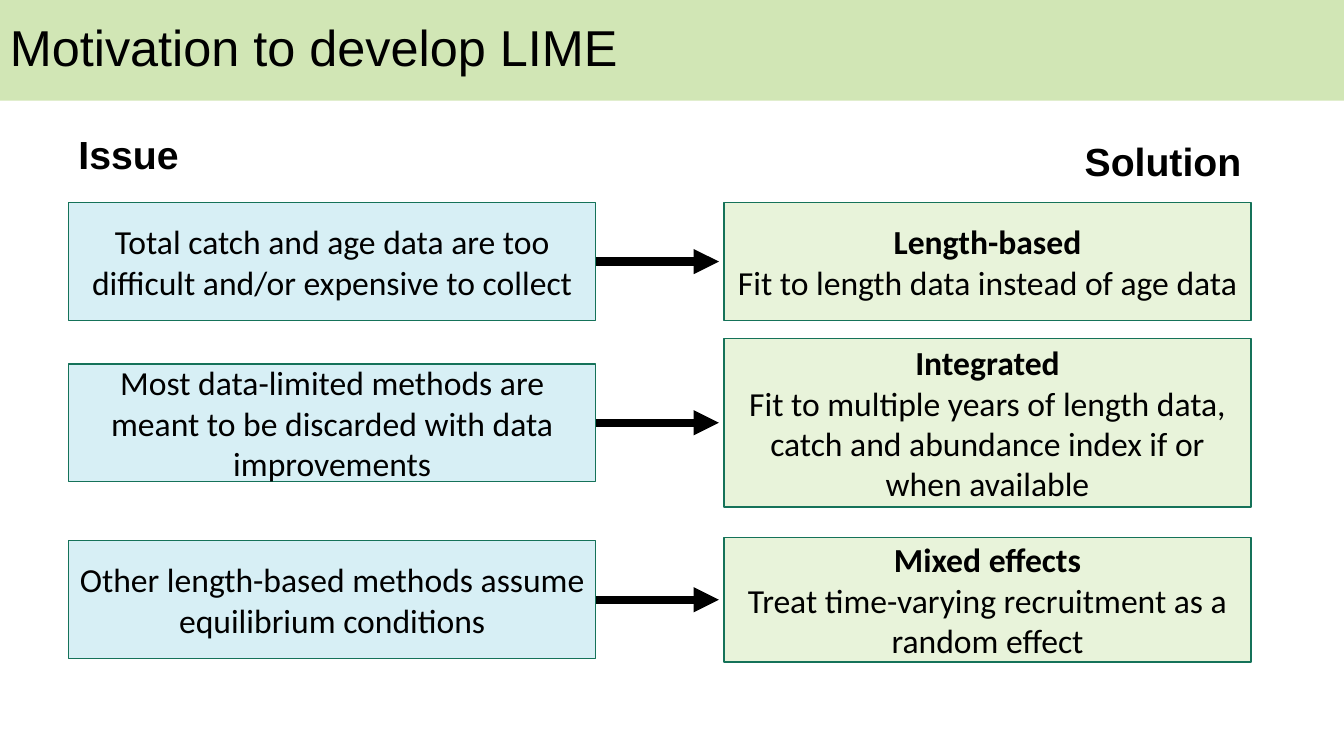
from dataclasses import dataclass

import pptx
import pptx.dml.color
import pptx.enum.shapes
import pptx.enum.text
import pptx.oxml
import pptx.oxml.ns
import pptx.util


@dataclass(frozen=True)
class Theme:
    banner: str = "D1E6B5"
    issue: str = "D7EFF5"
    solution: str = "E8F3DA"
    border: str = "157259"
    ink: str = "000000"
    head_font: str = "Arial"
    body_font: str = "Calibri"
    title_size: int = 36
    label_size: int = 28
    body_size: int = 24
    border_width: int = 1
    arrow_width: int = 6


THEME = Theme()
WIDTH = pptx.util.Inches(13.33)
HEIGHT = pptx.util.Inches(7.5)
ISSUE_LEFT, SOLUTION_LEFT, BOX_WIDTH = 5.1, 53.86, 39.23
ISSUE_HEIGHT = 15.6
ARROW_END = 53.49

LABELS = [("Issue", ISSUE_LEFT, 16.53), ("Solution", 79.97, 17.47)]
ROWS = [
    (34.6, 15.6, "Total catch and age data are too difficult and/or expensive to collect",
     "Length-based", "Fit to length data instead of age data"),
    (55.93, 22.27, "Most data-limited methods are meant to be discarded with data improvements",
     "Integrated", "Fit to multiple years of length data, catch and abundance index if or when available"),
    (79.33, 16.53, "Other length-based methods assume equilibrium conditions",
     "Mixed effects", "Treat time-varying recruitment as a random effect"),
]


def across(percent):
    return round(WIDTH * percent / 100)


def down(percent):
    return round(HEIGHT * percent / 100)


def color(value):
    return pptx.dml.color.RGBColor.from_string(value)


def add_run(p, text, font, size, bold=False):
    r = p.add_run()
    r.text = text
    r.font.name = font
    r.font.size = pptx.util.Pt(size)
    r.font.bold = bold
    r.font.color.rgb = color(THEME.ink)


def add_panel(s, left, top, width, height, fill, border=None):
    sp = s.shapes.add_shape(pptx.enum.shapes.MSO_SHAPE.RECTANGLE,
                            across(left), down(top), across(width), down(height))
    sp.shadow.inherit = False
    sp.fill.solid()
    sp.fill.fore_color.rgb = color(fill)
    if border:
        sp.line.color.rgb = color(border)
        sp.line.width = pptx.util.Pt(THEME.border_width)
    else:
        sp.line.fill.background()
    sp.text_frame.word_wrap = True
    sp.text_frame.vertical_anchor = pptx.enum.text.MSO_ANCHOR.MIDDLE
    return sp


def add_banner(s, text):
    sp = add_panel(s, 0, 0, 100, 13.33, THEME.banner)
    p = sp.text_frame.paragraphs[0]
    p.alignment = pptx.enum.text.PP_ALIGN.LEFT
    p.line_spacing = 0.9
    add_run(p, text, THEME.head_font, THEME.title_size)


def add_label(s, text, left, top):
    sp = s.shapes.add_textbox(across(left), down(top), across(15), down(7.6))
    tf = sp.text_frame
    tf.word_wrap = True
    add_run(tf.paragraphs[0], text, THEME.head_font, THEME.label_size, True)


def add_box(s, left, middle, height, fill, lines):
    sp = add_panel(s, left, middle - height / 2, BOX_WIDTH, height, fill, THEME.border)
    tf = sp.text_frame
    for i, (text, bold) in enumerate(lines):
        p = tf.add_paragraph() if i else tf.paragraphs[0]
        p.alignment = pptx.enum.text.PP_ALIGN.CENTER
        add_run(p, text, THEME.body_font, THEME.body_size, bold)
    return sp


def add_arrow(s, box):
    y = box.top + box.height // 2
    c = s.shapes.add_connector(pptx.enum.shapes.MSO_CONNECTOR.STRAIGHT,
                               box.left + box.width, y, across(ARROW_END), y)
    c.begin_connect(box, 3)
    c.line.color.rgb = color(THEME.ink)
    c.line.width = pptx.util.Pt(THEME.arrow_width)
    tail = pptx.oxml.parse_xml(f'<a:tailEnd {pptx.oxml.ns.nsdecls("a")} type="triangle"/>')
    c.line._get_or_add_ln().append(tail)
    c._element.spPr.append(pptx.oxml.parse_xml(f'<a:effectLst {pptx.oxml.ns.nsdecls("a")}/>'))


def main():
    prs = pptx.Presentation()
    prs.slide_width, prs.slide_height = WIDTH, HEIGHT
    s = prs.slides.add_slide(prs.slide_layouts[6])
    add_banner(s, "Motivation to develop LIME")
    for text, left, top in LABELS:
        add_label(s, text, left, top)
    for middle, height, issue, name, solution in ROWS:
        box = add_box(s, ISSUE_LEFT, middle, ISSUE_HEIGHT, THEME.issue, [(issue, False)])
        add_arrow(s, box)
        add_box(s, SOLUTION_LEFT, middle, height, THEME.solution,
                [(name, True), (solution, False)])
    prs.save("out.pptx")


if __name__ == "__main__":
    main()
